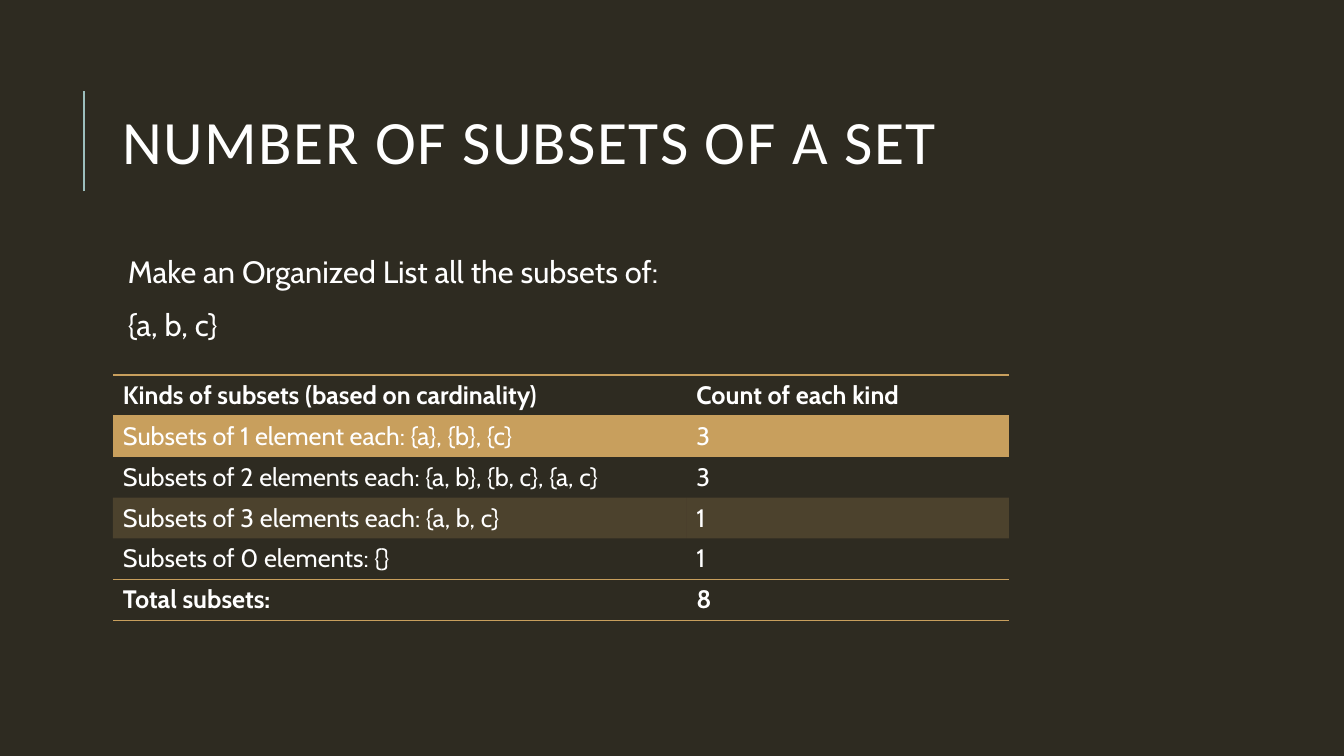
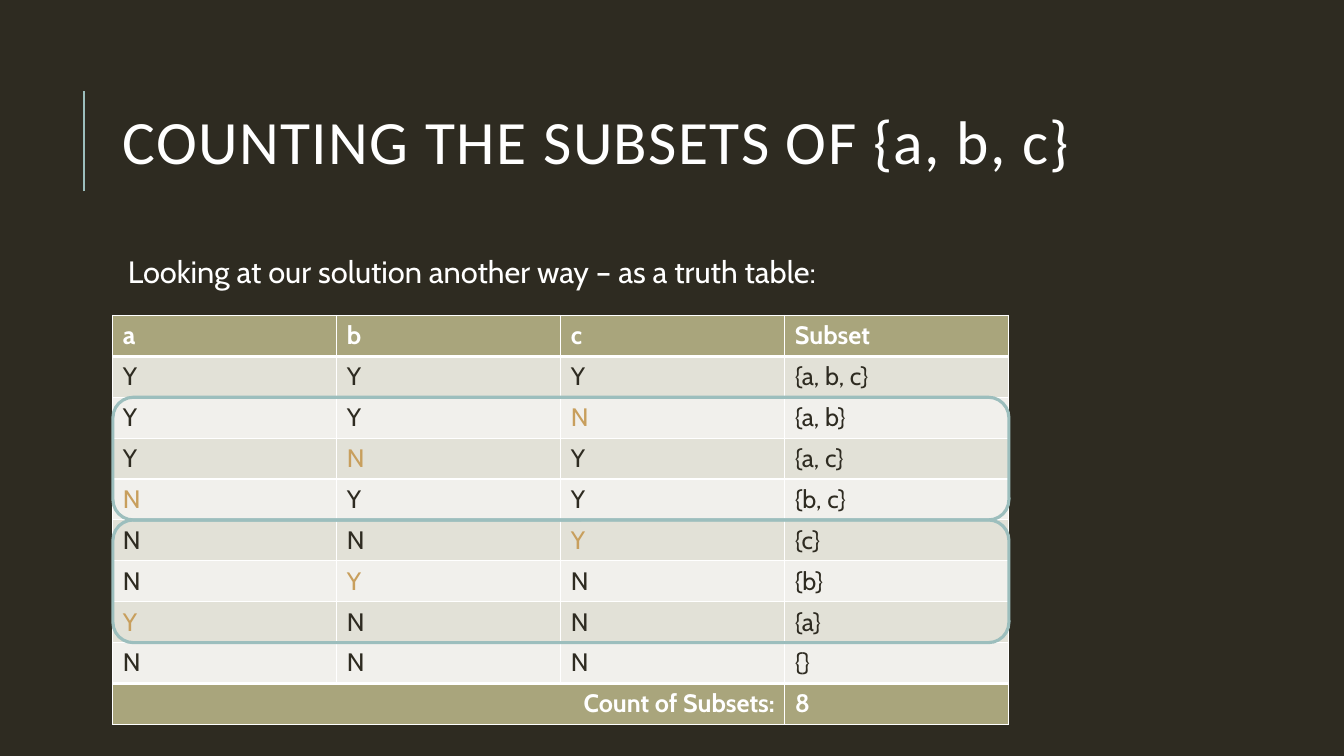
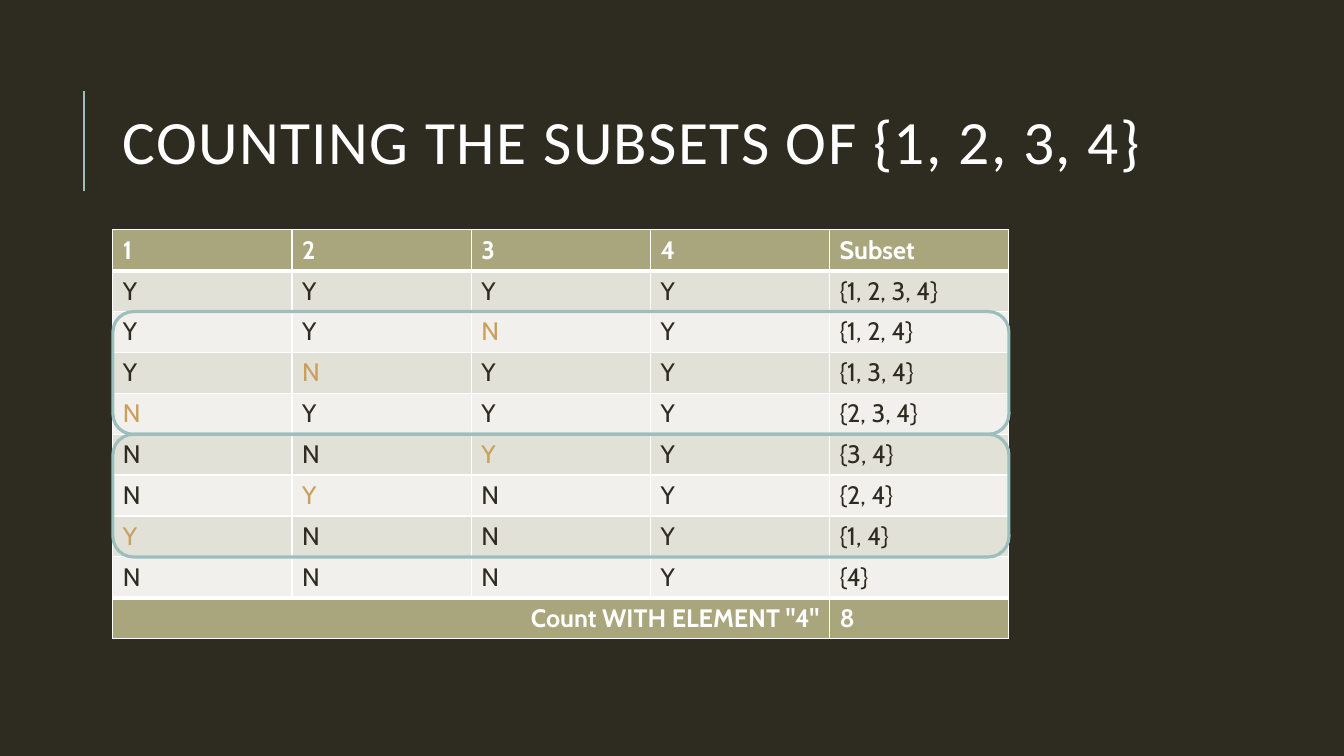
import collections
import dataclasses

import pptx
import pptx.util
import pptx.dml.color
import pptx.enum.shapes
import pptx.enum.text
import pptx.oxml
import pptx.oxml.ns

Box = collections.namedtuple("Box", "left top width height")
Cell = collections.namedtuple("Cell", "text color bold")
ALIGN = pptx.enum.text.PP_ALIGN
ANCHOR = pptx.enum.text.MSO_ANCHOR
PLAIN = "{2D5ABB26-0587-4C30-8999-92F81FD0307C}"
WIDE, HIGH = 13.33, 7.5


@dataclasses.dataclass(frozen=True)
class Theme:
    back: str = "2E2B21"
    light: str = "FFFFFF"
    rule: str = "9CBEBD"
    gold: str = "C89F5D"
    olive: str = "A9A57C"
    bands: tuple = ("F1F0EC", "E2E1D7")
    head: str = "Calibri"
    body: str = "Cabin"
    big: int = 44
    mid: int = 22
    small: int = 18


theme = Theme()

# Boxes and lengths are percentages of the slide's width and height.
LEFT, ROW = 8.4, 5.41
TITLE = Box(LEFT, 8.53, 79.72, 21.87)
BODY = Box(LEFT, 33.33, 79.72, 58.67)
GRID = 66.67
MARK = Box(6.25, 12, 0, 13.33)


def across(share):
    return pptx.util.Inches(WIDE * share / 100)


def down(share):
    return pptx.util.Inches(HIGH * share / 100)


def place(box):
    return across(box.left), down(box.top), across(box.width), down(box.height)


def rgb(color):
    return pptx.dml.color.RGBColor.from_string(color)


def apply(item, **values):
    for name, value in values.items():
        setattr(item, name, value)


def style(font, face, size, color, bold=False):
    apply(font, name=face, size=pptx.util.Pt(size), bold=bold)
    font.color.rgb = rgb(color)


def write(slide, box, lines, font, spacing, **frame):
    text = slide.shapes.add_textbox(*place(box)).text_frame
    apply(text, word_wrap=True, **frame)
    for i, line in enumerate(lines):
        para = text.paragraphs[0] if i == 0 else text.add_paragraph()
        run = para.add_run()
        run.text = line
        style(run.font, *font)
        apply(para, line_spacing=spacing)
        if i:
            apply(para, space_before=pptx.util.Pt(14))
    return text


def start(deck, title):
    """Add a slide with its title and the rule beside it."""
    slide = deck.slides.add_slide(deck.slide_layouts[6])
    x, y, _, tall = place(MARK)
    line = slide.shapes.add_connector(
        pptx.enum.shapes.MSO_CONNECTOR.STRAIGHT, x, y + tall, x, y)
    line.line.color.rgb = rgb(theme.rule)
    line.line.width = pptx.util.Pt(1.5)
    pptx.oxml.ns.qn("a:effectLst")
    line._element.spPr.append(tag("<a:effectLst %s/>"))
    text = write(slide, TITLE, [title], (theme.head, theme.big, theme.light),
                 0.8, vertical_anchor=ANCHOR.MIDDLE)
    text.paragraphs[0].runs[0].font._element.set("spc", "100")
    return slide


def tag(markup):
    return pptx.oxml.parse_xml(markup % pptx.oxml.ns.nsdecls("a"))


def intro(slide, *lines):
    inset = pptx.util.Inches(0.05)
    write(slide, BODY, lines, (theme.body, theme.mid, theme.light), 0.9,
          margin_left=3 * inset, margin_right=inset,
          margin_top=inset, margin_bottom=inset)


def edge(cell, side, color, weight):
    props = cell._tc.get_or_add_tcPr()
    if weight:
        paint = f'<a:solidFill><a:srgbClr val="{color}"/></a:solidFill>'
    else:
        paint = "<a:noFill/>"
    props.append(tag(
        f'<a:ln{side} %s w="{pptx.util.Pt(weight)}">{paint}</a:ln{side}>'))


def paint(cell, color, alpha=None):
    if color is None:
        cell.fill.background()
        return
    cell.fill.solid()
    cell.fill.fore_color.rgb = rgb(color)
    if alpha:
        tint = cell._tc.tcPr.find(".//" + pptx.oxml.ns.qn("a:srgbClr"))
        tint.append(tag(f'<a:alpha %s val="{alpha * 1000}"/>'))


def grid(slide, top, rows, ink, level, upright, fill, shares=None):
    """Draw rows of cells; None marks a cell joined to the one on its left.

    level(i) is the weight of horizontal line i, fill(i) the paint of row i.
    """
    count, wide = len(rows), len(rows[0])
    box = Box(LEFT, top, GRID, ROW * count)
    frame = slide.shapes.add_table(count, wide, *place(box))
    table = frame.table
    apply(table, first_row=False, horz_banding=False)
    name = pptx.oxml.ns.qn("a:tableStyleId")
    table._tbl.tblPr.find(name).text = PLAIN
    for col, share in zip(table.columns, shares or []):
        col.width = across(GRID * share)
    for i, row in enumerate(rows):
        for j, item in enumerate(row):
            cell = table.cell(i, j)
            if item:
                edge(cell, "L", ink, upright)
                edge(cell, "R", ink, upright)
            edge(cell, "T", ink, level(i))
            edge(cell, "B", ink, level(i + 1))
            paint(cell, *fill(i))
            if item:
                run = cell.text_frame.paragraphs[0].add_run()
                run.text = item.text
                style(run.font, theme.body, theme.small, item.color, item.bold)
        gaps = row.count(None)
        if gaps:
            table.cell(i, 0).merge(table.cell(i, gaps))
            table.cell(i, 0).text_frame.paragraphs[0].alignment = ALIGN.RIGHT


def kinds(slide, top, pairs):
    """Table with ruled first and last rows and tinted odd rows between."""
    last = len(pairs) - 1
    rows = [[Cell(text, theme.light, i in (0, last)) for text in pair]
            for i, pair in enumerate(pairs)]
    grid(slide, top, rows, theme.gold,
         lambda i: 1 if i in (0, 1, last, last + 1) else 0, 0,
         lambda i: (theme.gold, 20) if i % 2 and i < last else (None,),
         (0.64, 0.36))


def truth(slide, top, names, tail, label):
    """Truth table of three free elements, then fixed ones given by tail."""
    def bold(text):
        return Cell(text, theme.light, True)

    rows = [[bold(text) for text in (*names, "Subset")]]
    for free in "YYY YYN YNY NYY NNY NYN YNN NNN".split():
        picks = free + tail
        cells = [
            Cell(pick, theme.gold if j < 3 and free.count(pick) == 1
                 else theme.back, False)
            for j, pick in enumerate(picks)]
        chosen = [name for name, pick in zip(names, picks) if pick == "Y"]
        subset = "{" + ", ".join(chosen) + "}"
        rows.append(cells + [Cell(subset, theme.back, False)])
    total = str(len(rows) - 1)
    rows.append([bold(label), *[None] * (len(names) - 1), bold(total)])
    last = len(rows) - 1
    grid(slide, top, rows, theme.light,
         lambda i: 3 if i in (1, last) else 1, 1,
         lambda i: (theme.olive if i in (0, last) else theme.bands[i % 2],))
    for first in (2, 5):
        ring(slide, Box(LEFT, top + first * ROW, GRID, 3 * ROW))


def ring(slide, box):
    shape = slide.shapes.add_shape(
        pptx.enum.shapes.MSO_SHAPE.ROUNDED_RECTANGLE, *place(box))
    shape.shadow.inherit = False
    shape.fill.background()
    shape.line.color.rgb = rgb(theme.rule)
    shape.line.width = pptx.util.Pt(2.25)


def main():
    deck = pptx.Presentation()
    apply(deck, slide_width=across(100), slide_height=down(100))
    back = deck.slide_master.background.fill
    back.solid()
    back.fore_color.rgb = rgb(theme.back)

    slide = start(deck, "NUMBER OF SUBSETS OF A SET")
    intro(slide, "Make an Organized List all the subsets of:", "{a, b, c}")
    kinds(slide, 49.6, [
        ("Kinds of subsets (based on cardinality)", "Count of each kind"),
        ("Subsets of 1 element each: {a}, {b}, {c}", "3"),
        ("Subsets of 2 elements each: {a, b}, {b, c}, {a, c}", "3"),
        ("Subsets of 3 elements each: {a, b, c}", "1"),
        ("Subsets of 0 elements: {}", "1"),
        ("Total subsets:", "8"),
    ])

    slide = start(deck, "COUNTING THE SUBSETS OF {a, b, c}")
    intro(slide, "Looking at our solution another way – as a truth table:")
    truth(slide, 41.73, "abc", "", "Count of Subsets:")

    slide = start(deck, "COUNTING THE SUBSETS OF {1, 2, 3, 4}")
    truth(slide, 30.4, "1234", "Y", 'Count WITH ELEMENT "4"')

    deck.save("out.pptx")


if __name__ == "__main__":
    main()
